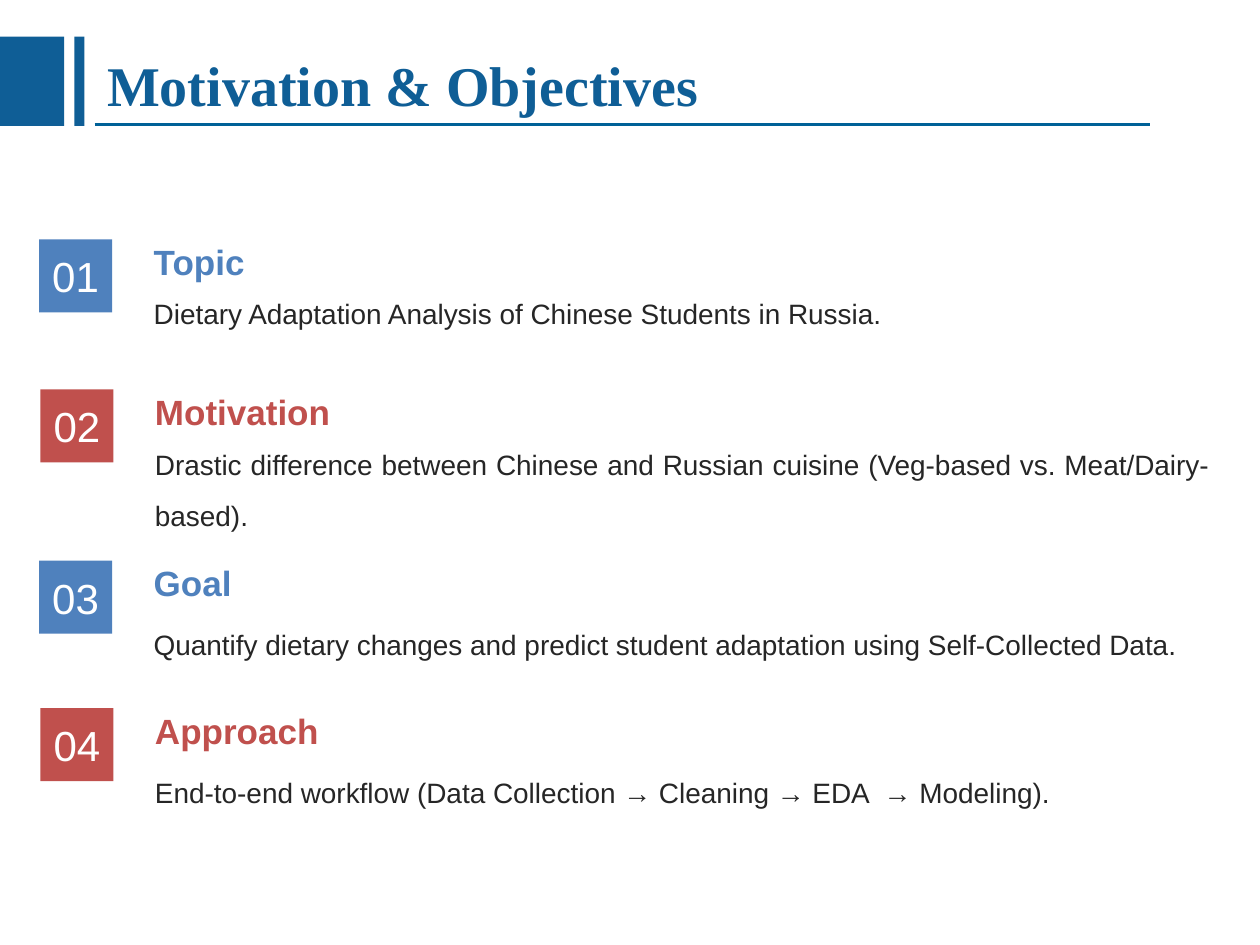
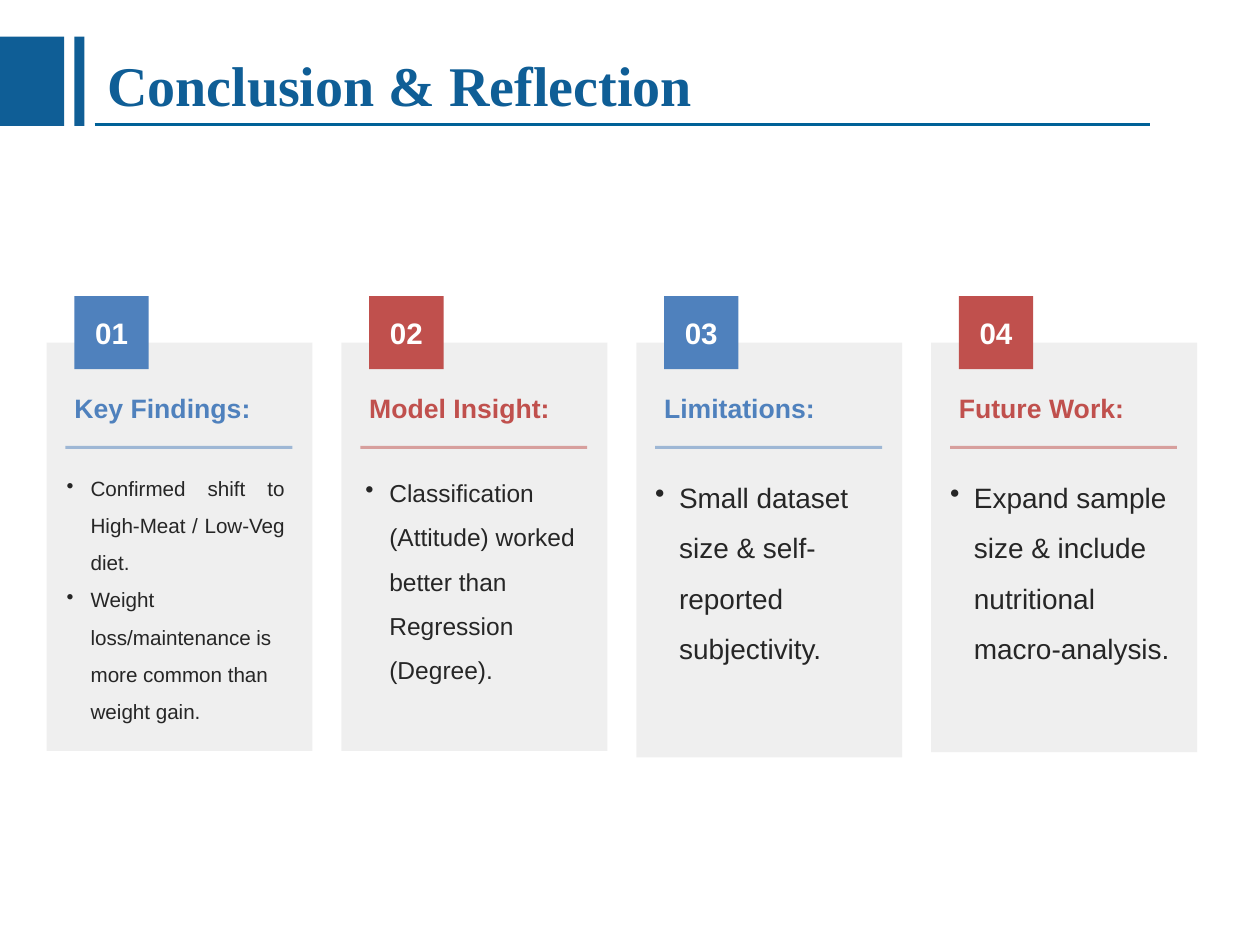
from dataclasses import dataclass

from lxml.etree import SubElement
from pptx import Presentation
from pptx.dml.color import RGBColor
from pptx.enum.shapes import MSO_CONNECTOR as Wire, MSO_SHAPE as Kind
from pptx.enum.text import MSO_ANCHOR as Anchor, MSO_AUTO_SIZE as Fit, PP_ALIGN as Align
from pptx.oxml.ns import qn
from pptx.util import Emu, Pt

SCALE = 9144  # EMU in one px, 100 px to the inch


@dataclass(frozen=True)
class Theme:
    navy: str = "0F5E96"
    rule: str = "006197"
    blue: str = "4F81BD"
    red: str = "C0504D"
    ink: str = "262626"
    grey: str = "999999"
    white: str = "FFFFFF"
    serif: str = "Times New Roman"
    sans: str = "Arial"
    title: float = 32
    label: float = 20
    body: float = 16
    number: float = 24
    card_label: float = 15.2
    card_number: float = 16.9


T = Theme()
ACCENTS = (T.blue, T.red)


def px(*sizes):
    return [Emu(size * SCALE) for size in sizes]


def rgb(code):
    return RGBColor.from_string(code)


def fade(shape, percent):
    """Make the one colour of a shape partly transparent."""
    color = shape._element.spPr.find(".//" + qn("a:srgbClr"))
    SubElement(color, qn("a:alpha"), val=str(percent * 1000))


def block(slide, box, fill, kind=Kind.RECTANGLE):
    shape = slide.shapes.add_shape(kind, *px(*box))
    if kind == Kind.ROUNDED_RECTANGLE:
        shape.adjustments[0] = 0
    shape.shadow.inherit = False
    shape.fill.solid()
    shape.fill.fore_color.rgb = rgb(fill)
    shape.line.fill.background()
    return shape


def line(slide, left, right, top, color, weight):
    wire = slide.shapes.add_connector(Wire.STRAIGHT, *px(left, top, right, top))
    wire.line.color.rgb = rgb(color)
    wire.line.width = Pt(weight)
    SubElement(wire._element.spPr, qn("a:effectLst"))
    return wire


def frame(shape, anchor=Anchor.TOP, wrap=True):
    """Return the text frame of a shape, without margins."""
    text = shape.text_frame
    text.margin_left = text.margin_top = text.margin_right = text.margin_bottom = 0
    text.vertical_anchor = anchor
    text.word_wrap = wrap
    return text


def write(para, words, size, color, bold=False, face=T.sans, align=Align.LEFT):
    para.alignment = align
    run = para.add_run()
    run.text = words
    font = run.font
    font.name, font.size, font.bold = face, Pt(size), bold
    font.color.rgb = rgb(color)


def text_box(slide, box, anchor=Anchor.TOP):
    return frame(slide.shapes.add_textbox(*px(*box)), anchor)


def label(slide, box, words, size, color, align=Align.LEFT):
    text = text_box(slide, box, Anchor.MIDDLE)
    write(text.paragraphs[0], words, size, color, True, align=align)


def badge(slide, box, number, fill, size, kind=Kind.RECTANGLE, bold=False):
    text = frame(block(slide, box, fill, kind), Anchor.MIDDLE, wrap=not bold)
    write(text.paragraphs[0], f"{number:02}", size, T.white, bold, align=Align.CENTER)


def bullet(para):
    props = para._p.get_or_add_pPr()
    indent = 19 * SCALE
    props.set("marL", str(indent))
    props.set("indent", str(-indent))
    SubElement(props, qn("a:buChar"), char="•")


def start(deck, words):
    """Add a slide with the title and the band beside it."""
    slide = deck.slides.add_slide(deck.slide_layouts[5])
    for left, width in ((0, 51), (59, 8)):
        block(slide, (left, 29, width, 71), T.navy)
    line(slide, 75, 913, 99, T.rule, 1.5)
    title = slide.shapes.title
    title.left, title.top, title.width, title.height = px(75, 35, 795, 64)
    text = title.text_frame
    text.vertical_anchor = Anchor.TOP
    text.auto_size = Fit.SHAPE_TO_FIT_TEXT
    write(text.paragraphs[0], words, T.title, T.navy, True, T.serif)
    return slide


def topic(slide, box, number, name, words, drop):
    """Place a badge, a heading and, drop px below the top, a sentence."""
    left, top, width = box
    color = ACCENTS[(number - 1) % 2]
    text = text_box(slide, (left + 91, top + drop, width, 65))
    para = text.paragraphs[0]
    para.line_spacing = 1.5
    write(para, words, T.body, T.ink, align=Align.JUSTIFY)
    label(slide, (left + 91, top - 6, 908, 47), name, T.label, color, Align.JUSTIFY)
    badge(slide, (left, top, 58, 58), number, color, T.number)


def card(slide, box, number, name, points, size, inset, wide):
    """Place a panel with a badge on its top edge, a heading and bullets."""
    left, top, width, height = box
    color = ACCENTS[(number - 1) % 2]
    round_box = Kind.ROUNDED_RECTANGLE
    fade(block(slide, box, T.grey, round_box), 15)
    text = text_box(slide, (left + inset, top + 96, wide, 149))
    for index, (words, align) in enumerate(points):
        para = text.add_paragraph() if index else text.paragraphs[0]
        bullet(para)
        para.line_spacing = 1.5
        write(para, words, size, T.ink, align=align)
    badge(slide, (left + 22, top - 37, 59, 58), number, color, T.card_number,
          round_box, True)
    fade(line(slide, left + 15, left + width - 16, top + 83, color, 1.75), 50)
    label(slide, (left + 22, top + 33, 169, 37), name, T.card_label, color)


def motivation(deck):
    slide = start(deck, "Motivation & Objectives")
    topics = (
        (31, 190, 908, 32, "Topic",
         "Dietary Adaptation Analysis of Chinese Students in Russia."),
        (32, 309, 837, 33, "Motivation",
         "Drastic difference between Chinese and Russian cuisine "
         "(Veg-based vs. Meat/Dairy-based)."),
        (31, 445, 908, 40, "Goal",
         "Quantify dietary changes and predict student adaptation "
         "using Self-Collected Data."),
        (32, 562, 908, 40, "Approach",
         "End-to-end workflow (Data Collection → Cleaning → EDA  → Modeling)."),
    )
    for number, (left, top, width, drop, name, words) in enumerate(topics, 1):
        topic(slide, (left, top, width), number, name, words, drop)


def conclusion(deck):
    slide = start(deck, "Conclusion & Reflection")
    cards = (
        ("Key Findings:", 324, 11.8, 16, 173,
         [("Confirmed shift to High-Meat / Low-Veg diet.", Align.JUSTIFY),
          ("Weight loss/maintenance is more common than weight gain.", Align.LEFT)]),
        ("Model Insight:", 324, 14, 19, 171,
         [("Classification (Attitude) worked better than Regression (Degree).",
           Align.LEFT)]),
        ("Limitations:", 329, 16, 15, 171,
         [("Small dataset size & self-reported subjectivity.", Align.LEFT)]),
        ("Future Work:", 325, 16, 15, 176,
         [("Expand sample size & include nutritional macro-analysis.", Align.LEFT)]),
    )
    for index, (name, height, size, inset, wide, points) in enumerate(cards):
        box = (37 + index * 234, 272, 211, height)
        card(slide, box, index + 1, name, points, size, inset, wide)


def main():
    deck = Presentation()
    deck.slide_width, deck.slide_height = px(1000, 750)
    motivation(deck)
    conclusion(deck)
    deck.save("out.pptx")


if __name__ == "__main__":
    main()
